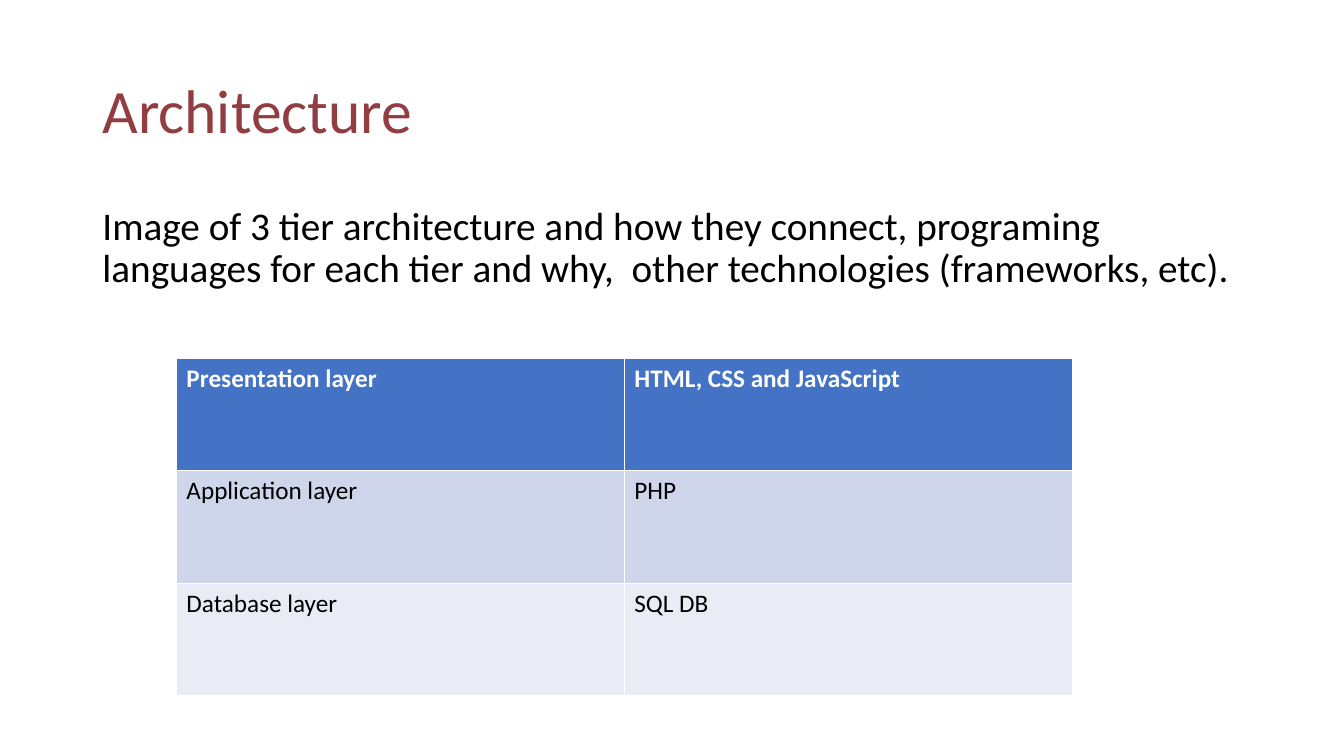
from pptx import Presentation
from pptx.dml.color import RGBColor
from pptx.enum.text import MSO_ANCHOR, MSO_AUTO_SIZE, PP_ALIGN
from pptx.util import Pt

TITLE = "Architecture"
BODY = ("Image of 3 tier architecture and how they connect, programing languages "
        "for each tier and why,  other technologies (frameworks, etc).")
TIERS = [
    ("Presentation layer", "HTML, CSS and JavaScript"),
    ("Application layer", "PHP"),
    ("Database layer", "SQL DB"),
]

FONT = "Calibri"
RED = RGBColor(0x92, 0x3D, 0x41)
BLACK = RGBColor(0, 0, 0)
WHITE = RGBColor(255, 255, 255)
BLUE = RGBColor(0x44, 0x72, 0xC4)
BAND = RGBColor(0xCF, 0xD5, 0xEA)
PALE = RGBColor(0xE9, 0xEB, 0xF5)
FILLS = [BLUE, BAND, PALE]

LEFT = PP_ALIGN.LEFT
TOP = MSO_ANCHOR.TOP
MIDDLE = MSO_ANCHOR.MIDDLE
FIXED = MSO_AUTO_SIZE.NONE

COL, ROW = 320, 80.5


def style(para, size, color, bold=False):
    para.alignment = LEFT
    for run in para.runs:
        font = run.font
        font.name, font.size, font.bold = FONT, Pt(size), bold
        font.color.rgb = color


def place(shape, top, height, text, anchor, size, color):
    shape.left, shape.top = Pt(66), Pt(top)
    shape.width, shape.height = Pt(828), Pt(height)
    frame = shape.text_frame
    frame.text = text
    frame.word_wrap = True
    frame.auto_size = FIXED
    frame.vertical_anchor = anchor
    para = frame.paragraphs[0]
    para.line_spacing = 0.9
    style(para, size, color)
    return para


def main():
    deck = Presentation()
    deck.slide_width, deck.slide_height = Pt(960), Pt(540)
    slide = deck.slides.add_slide(deck.slide_layouts[1])
    title, body = slide.placeholders

    place(title, 28.75, 104.4, TITLE, MIDDLE, 44, RED)
    para = place(body, 143.75, 342.6, BODY, TOP, 28, BLACK)
    para.space_before = Pt(10)
    props = para._p.get_or_add_pPr()
    props.set("marL", "0")
    props.set("indent", "0")
    props.insert_element_before(
        props.makeelement("{http://schemas.openxmlformats.org/drawingml/2006/main}buNone", {}),
        "a:tabLst", "a:defRPr", "a:extLst")

    rows, cols = len(TIERS), len(TIERS[0])
    grid = slide.shapes.add_table(
        rows, cols, Pt(126), Pt(255.75), Pt(COL * cols), Pt(ROW * rows)).table
    for col in grid.columns:
        col.width = Pt(COL)
    for r, (tier, fill) in enumerate(zip(TIERS, FILLS)):
        grid.rows[r].height = Pt(ROW)
        for c, text in enumerate(tier):
            cell = grid.cell(r, c)
            cell.text = text
            cell.fill.solid()
            cell.fill.fore_color.rgb = fill
            style(cell.text_frame.paragraphs[0], 18, BLACK if r else WHITE, r == 0)

    deck.save("out.pptx")


if __name__ == "__main__":
    main()
